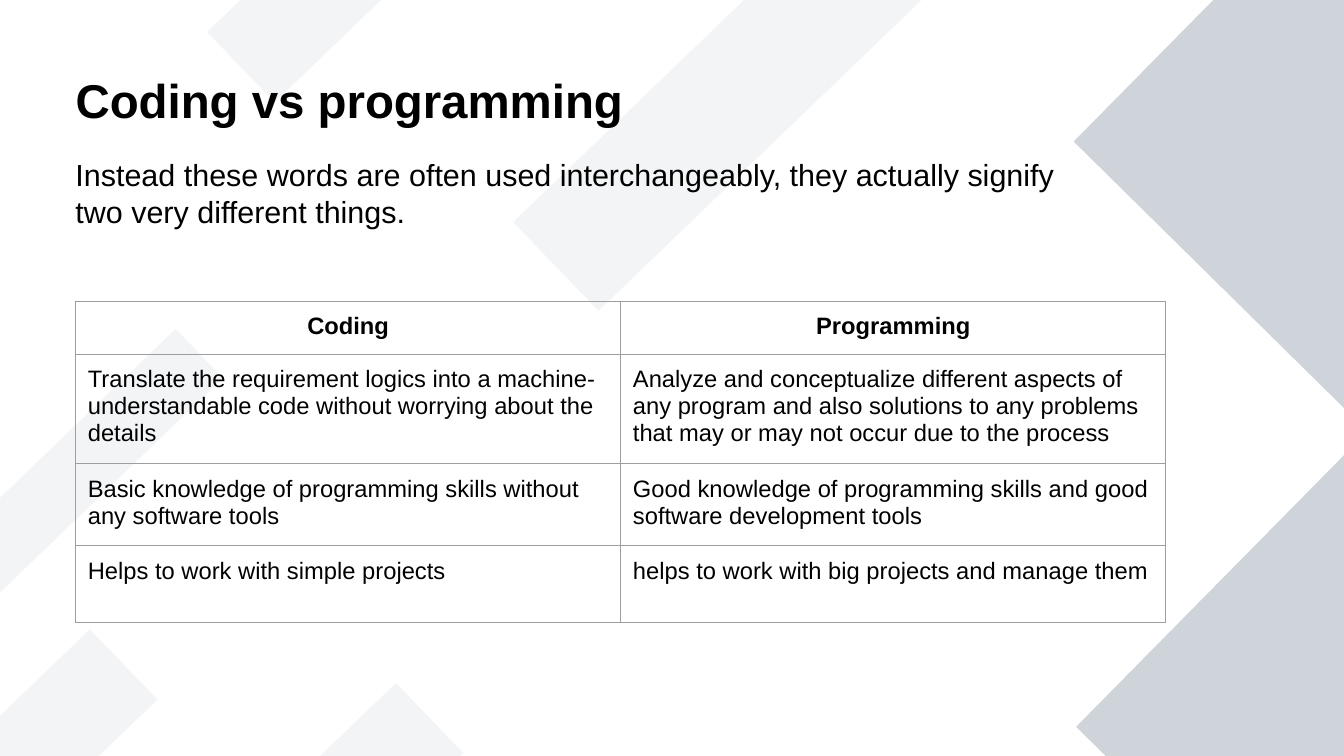
from lxml import etree
from pptx import Presentation
from pptx import util as u
from pptx.dml.color import RGBColor
from pptx.enum import shapes, text
from pptx.oxml import ns

BLACK, LIGHT, SLATE, GRID = "000000", "CED4DA", "8D99AE", "9E9E9E"


def rgb(hex_code):
    return RGBColor.from_string(hex_code)


def sub(parent, tag, **attributes):
    return etree.SubElement(parent, ns.qn(tag), **attributes)


class SlideBuilder:
    font = "Arial"

    def __init__(self, slide):
        self.slide = slide

    def add_words(self, frame, words, size, bold=False, align=text.PP_ALIGN.LEFT):
        frame.word_wrap = True
        paragraph = frame.paragraphs[0]
        paragraph.alignment = align
        run = paragraph.add_run()
        run.text = words
        run.font.name, run.font.size, run.font.bold = self.font, u.Pt(size), bold
        run.font.color.rgb = rgb(BLACK)

    def band(self, box, angle, color, alpha=None):
        band = self.slide.shapes.add_shape(
            shapes.MSO_SHAPE.RECTANGLE, *map(u.Inches, box))
        band.rotation = angle
        band.shadow.inherit = False
        band.line.fill.background()
        band.fill.solid()
        band.fill.fore_color.rgb = rgb(color)
        if alpha is not None:
            tint = band.element.spPr.find(".//" + ns.qn("a:srgbClr"))
            sub(tint, "a:alpha", val=str(alpha * 1000))

    def title(self, words, box, size):
        title = self.slide.shapes.title
        title.left, title.top, title.width, title.height = map(u.Inches, box)
        title.text_frame.auto_size = text.MSO_AUTO_SIZE.NONE
        title.text_frame.vertical_anchor = text.MSO_ANCHOR.MIDDLE
        self.add_words(title.text_frame, words, size, bold=True)
        # Bring the title in front of the background bands
        title.element.getparent().append(title.element)

    def paragraph(self, words, box, size):
        frame = self.slide.shapes.add_textbox(*map(u.Inches, box)).text_frame
        frame.vertical_anchor = text.MSO_ANCHOR.MIDDLE
        self.add_words(frame, words, size)

    def border(self, cell, color, width):
        properties = cell._tc.get_or_add_tcPr()
        for side in ("a:lnL", "a:lnR", "a:lnT", "a:lnB"):
            line = sub(properties, side, w=str(u.Pt(width)))
            sub(sub(line, "a:solidFill"), "a:srgbClr", val=color)

    def table(self, rows, left, top, column_width, row_heights, size):
        columns = len(rows[0])
        table = self.slide.shapes.add_table(
            len(rows), columns, u.Inches(left), u.Inches(top),
            u.Inches(column_width * columns), u.Inches(sum(row_heights))).table
        table.first_row = table.horz_banding = False
        for column in table.columns:
            column.width = u.Inches(column_width)
        for r, (row, height) in enumerate(zip(rows, row_heights)):
            table.rows[r].height = u.Inches(height)
            header = r == 0
            align = text.PP_ALIGN.CENTER if header else text.PP_ALIGN.LEFT
            for c, words in enumerate(row):
                cell = table.cell(r, c)
                cell.margin_left = cell.margin_right = u.Inches(0.1)
                cell.margin_top = cell.margin_bottom = u.Inches(0.1)
                self.border(cell, GRID, 0.75)
                cell.fill.background()
                self.add_words(cell.text_frame, words, size, header, align)


def main():
    deck = Presentation()
    deck.slide_width, deck.slide_height = u.Inches(11.02), u.Inches(6.2)
    builder = SlideBuilder(deck.slides.add_slide(deck.slide_layouts[5]))

    # Background: large diamonds at the right, pale diagonal stripes
    for left, top in ((9.46, -0.44), (9.48, 4.36)):
        builder.band((left, top, 3.17, 3.17), 314.6, LIGHT)
    stripes = (
        (1.09, 6.47, 2.83, 0.8),
        (-1.42, 6.03, 2.83, 0.8),
        (4.03, 0.37, 3.78, 1.01),
        (1.58, -0.83, 2.83, 0.8),
        (-0.8, 3.6, 2.83, 0.56),
    )
    for stripe in stripes:
        builder.band(stripe, 316.1, SLATE, alpha=10)

    # Heading and introduction
    builder.title("Coding vs programming", (0.52, 0.54, 6.54, 0.56), 28)
    builder.paragraph(
        "Instead these words are often used interchangeably, they actually "
        "signify two very different things.", (0.52, 1.22, 8.59, 0.72), 18)

    # Comparison
    comparison = (
        ("Coding", "Programming"),
        ("Translate the requirement logics into a machine-understandable code "
         "without worrying about the details",
         "Analyze and conceptualize different aspects of any program and also "
         "solutions to any problems that may or may not occur due to the process"),
        ("Basic knowledge of programming skills without any software tools",
         "Good knowledge of programming skills and good software development tools"),
        ("Helps to work with simple projects",
         "helps to work with big projects and manage them"),
    )
    builder.table(comparison, 0.62, 2.47, 4.47, (0.42, 0.86, 0.64, 0.63), 14)

    deck.save("out.pptx")


if __name__ == "__main__":
    main()
